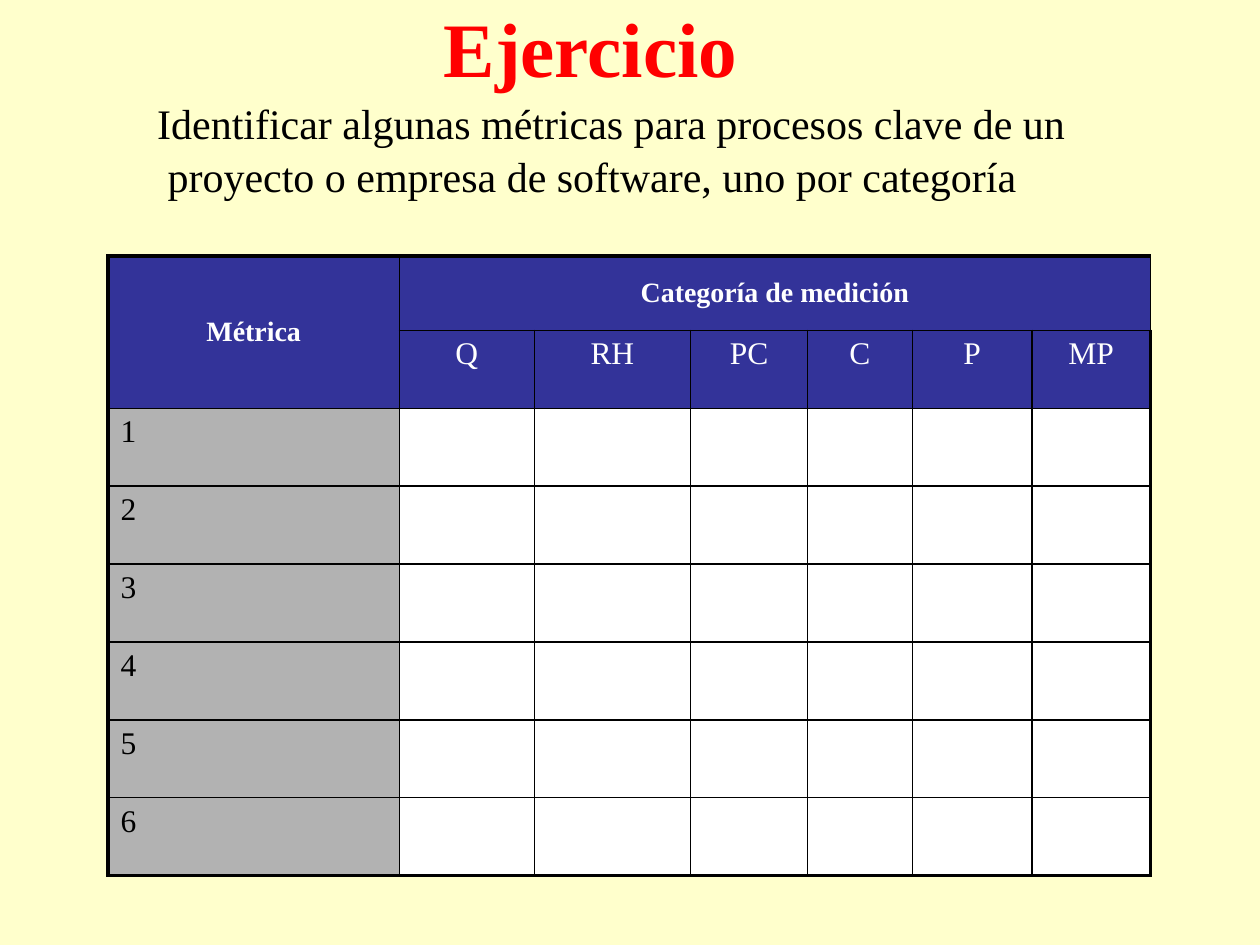
from dataclasses import dataclass

from lxml import etree
from pptx import Presentation
from pptx.dml.color import RGBColor
from pptx.enum.text import MSO_ANCHOR, MSO_AUTO_SIZE, PP_ALIGN
from pptx.oxml.ns import qn
from pptx.util import Cm, Pt

CENTER, LEFT = PP_ALIGN.CENTER, PP_ALIGN.LEFT
MIDDLE, TOP = MSO_ANCHOR.MIDDLE, MSO_ANCHOR.TOP
NO_AUTOFIT = MSO_AUTO_SIZE.NONE


@dataclass(frozen=True)
class Theme:
    """Colours, font and sizes of the slide."""
    font: str = "Times New Roman"
    background: str = "FFFFCC"
    title: str = "FF0000"
    ink: str = "000000"
    header: str = "333399"
    label: str = "B2B2B2"
    white: str = "FFFFFF"
    title_size: int = 44
    body_size: int = 24
    cell_size: int = 18
    heading_size: int = 16
    inner_line: float = 1
    outer_line: float = 2.25


THEME = Theme()
CATEGORIES = ["Q", "RH", "PC", "C", "P", "MP"]
METRIC_COUNT = 6
COLUMN_WIDTHS = [5.87, 2.72, 3.15, 2.36, 2.11, 2.41, 2.39]
HEADING_HEIGHT, ROW_HEIGHT = 1.5, 1.57


def set_font(para, size, color, bold=False):
    """Format a whole paragraph."""
    para.font.name = THEME.font
    para.font.size = Pt(size)
    para.font.bold = bold
    para.font.color.rgb = RGBColor.from_string(color)


def set_space_before(para, percent):
    """Set the space before a paragraph relative to its line."""
    para.space_before = Pt(0)
    spacing = para._p.get_or_add_pPr().find(qn("a:spcBef"))
    spacing.remove(spacing[0])
    etree.SubElement(spacing, qn("a:spcPct"), val=str(percent * 1000))


def place(shape, box):
    """Move a shape to a box given in centimetres."""
    shape.left, shape.top, shape.width, shape.height = map(Cm, box)


def add_title(page, box):
    """Fill and format the title placeholder."""
    title = page.shapes.title
    place(title, box)
    frame = title.text_frame
    frame.text = "Ejercicio"
    frame.auto_size = NO_AUTOFIT
    frame.vertical_anchor = MIDDLE
    para = frame.paragraphs[0]
    para.alignment = CENTER
    para.line_spacing = 0.7
    set_font(para, THEME.title_size, THEME.title, bold=True)


def add_instruction(page, box):
    """Add the exercise statement with a slightly hanging first line."""
    frame = page.shapes.add_textbox(*map(Cm, box)).text_frame
    frame.word_wrap = True
    para = frame.paragraphs[0]
    para.text = ("Identificar algunas métricas para procesos clave de un "
                 "proyecto o empresa de software, uno por categoría")
    para.line_spacing = 1.06
    set_space_before(para, 20)
    properties = para._p.get_or_add_pPr()
    properties.set("marL", str(Cm(1.48)))
    properties.set("indent", str(Cm(-0.21)))
    set_font(para, THEME.body_size, THEME.ink)


def set_borders(cell, outer_sides):
    """Draw the four cell borders, thicker on the outer sides."""
    properties = cell._tc.get_or_add_tcPr()
    for side in "LRTB":
        width = THEME.outer_line if side in outer_sides else THEME.inner_line
        line = etree.SubElement(properties, qn(f"a:ln{side}"), w=str(Pt(width)))
        fill = etree.SubElement(line, qn("a:solidFill"))
        etree.SubElement(fill, qn("a:srgbClr"), val=THEME.ink)


def write_cell(cell, text, color, size=THEME.cell_size, align=CENTER,
               anchor=TOP, bold=False):
    """Write one formatted paragraph in a cell."""
    cell.text = text
    cell.vertical_anchor = anchor
    para = cell.text_frame.paragraphs[0]
    para.alignment = align
    set_space_before(para, 20)
    set_font(para, size, color, bold)


def add_metrics_table(page, box):
    """Add the grid of metrics against measurement categories."""
    row_count, column_count = METRIC_COUNT + 2, len(CATEGORIES) + 1
    table = page.shapes.add_table(row_count, column_count, *map(Cm, box)).table
    table.first_row = table.horz_banding = False
    for column, width in zip(table.columns, COLUMN_WIDTHS):
        column.width = Cm(width)
    for index, row in enumerate(table.rows):
        row.height = Cm(ROW_HEIGHT if index else HEADING_HEIGHT)

    for r in range(row_count):
        for c in range(column_count):
            cell = table.cell(r, c)
            edges = {"L": c == 0, "R": c == column_count - 1,
                     "T": r == 0, "B": r == row_count - 1}
            set_borders(cell, [side for side, outer in edges.items() if outer])
            color = THEME.header if r < 2 else THEME.white if c else THEME.label
            cell.fill.solid()
            cell.fill.fore_color.rgb = RGBColor.from_string(color)

    table.cell(0, 0).merge(table.cell(1, 0))
    table.cell(0, 1).merge(table.cell(0, column_count - 1))
    for c, heading in enumerate(["Métrica", "Categoría de medición"]):
        write_cell(table.cell(0, c), heading, THEME.white, THEME.heading_size,
                   anchor=MIDDLE, bold=True)
    for c, category in enumerate(CATEGORIES, 1):
        write_cell(table.cell(1, c), category, THEME.white)
    for number in range(1, METRIC_COUNT + 1):
        write_cell(table.cell(number + 1, 0), str(number), THEME.ink, align=LEFT)


def main():
    """Build and save the exercise slide."""
    deck = Presentation()
    deck.slide_width, deck.slide_height = Cm(25.4), Cm(19.05)
    page = deck.slides.add_slide(deck.slide_layouts.get_by_name("Title Only"))
    page.background.fill.solid()
    page.background.fill.fore_color.rgb = RGBColor.from_string(THEME.background)
    add_title(page, (1.9, -0.2, 20.02, 2.74))
    add_instruction(page, (1.65, 1.78, 22.25, 2.9))
    add_metrics_table(page, (2.18, 5.16, sum(COLUMN_WIDTHS),
                             HEADING_HEIGHT + ROW_HEIGHT * (METRIC_COUNT + 1)))
    deck.save("out.pptx")


if __name__ == "__main__":
    main()
